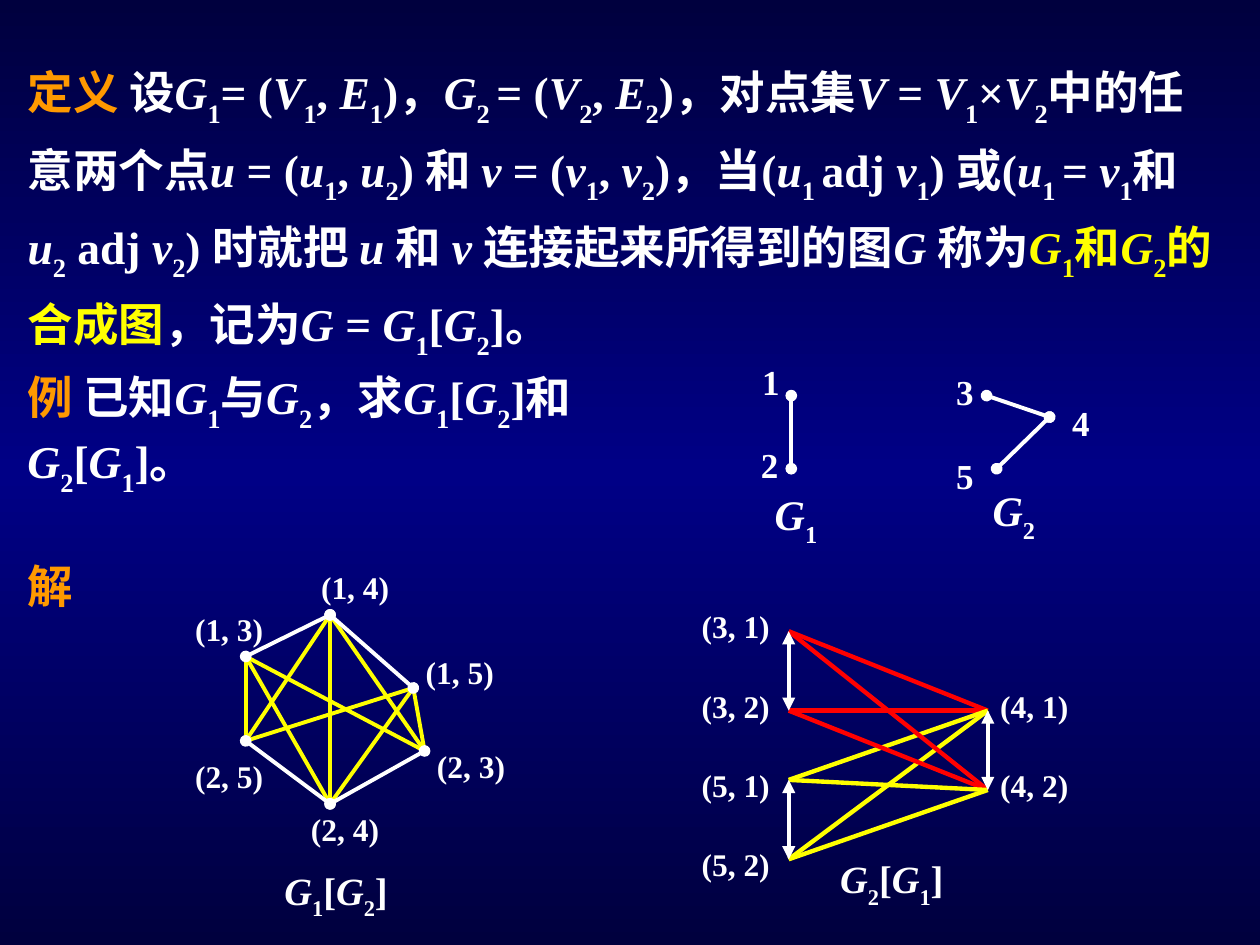
from copy import deepcopy
from itertools import groupby, product

from lxml import etree
from pptx import Presentation
from pptx import util as u
from pptx.dml.color import RGBColor
from pptx.enum import shapes, text
from pptx.oxml.ns import qn

SERIF, HAN = "Times New Roman", "Noto Sans CJK SC"
WHITE, ORANGE, YELLOW, RED = "FFFFFF", "FF9900", "FFFF00", "FF0000"

DEFINITION = [
    ("定义 ", ORANGE),
    ("设*G*~1~= (*V*~1~, *E*~1~)，*G*~2 ~= (*V*~2~, *E*~2~)，对点集*V *= *V*~1~×*V*~2~"
     "中的任意两个点*u *= (*u*~1~, *u*~2~) 和 *v *= (*v*~1~, *v*~2~)，当(*u*~1 ~adj *v*~1~)"
     " 或(*u*~1 ~= *v*~1~和 *u*~2~ adj* v*~2~) 时就把 *u *和 *v *连接起来所得到的图*G *称为", WHITE),
    ("*G*~1~和*G*~2~的合成图", YELLOW),
    ("，记为*G *= *G*~1~[*G*~2~]。", WHITE),
]
EXAMPLE = [
    ("例 ", ORANGE),
    ("已知*G*~1~与*G*~2~，求*G*~1~[*G*~2~]和  *G*~2~[*G*~1~]。", WHITE),
]
DIGITS = {"1": (5.95, 2.81), "2": (5.94, 3.47), "3": (7.49, 2.89),
          "4": (8.41, 3.14), "5": (7.49, 3.56)}
FACTOR_EDGES = [((6.28, 3.14), (6.28, 3.72)), ((7.83, 3.14), (8.33, 3.31)),
                ((8.33, 3.31), (7.91, 3.72))]
HEXAGON = {
    "(1, 3)": ((1.95, 5.21), (1.45, 4.79)),
    "(1, 4)": ((2.62, 4.88), (2.45, 4.46)),
    "(1, 5)": ((3.28, 5.46), (3.28, 5.13)),
    "(2, 3)": ((3.37, 5.96), (3.37, 5.88)),
    "(2, 4)": ((2.62, 6.38), (2.37, 6.38)),
    "(2, 5)": ((1.95, 5.88), (1.45, 5.96)),
}
LADDER = {
    "(3, 1)": ((6.26, 5.01), (5.47, 4.77)),
    "(3, 2)": ((6.26, 5.64), (5.47, 5.4)),
    "(5, 1)": ((6.26, 6.19), (5.47, 6.03)),
    "(5, 2)": ((6.26, 6.82), (5.47, 6.66)),
    "(4, 1)": ((7.84, 5.64), (7.84, 5.4)),
    "(4, 2)": ((7.84, 6.27), (7.84, 6.03)),
}


def color(value):
    """Turn a hex string into a colour."""
    return RGBColor.from_string(value)


def paint_background(page):
    """Fill the page with a dark, blue, dark vertical gradient."""
    fill = page.background.fill
    fill.gradient()
    fill.gradient_angle = 270
    stops = page.background.fill.gradient_stops
    stop_list = next(page.element.iter(qn("a:gsLst")))
    stop_list.append(deepcopy(stop_list[0]))
    for stop, (position, shade) in zip(
            stops, [(0, "00003E"), (0.5, "000086"), (1, "00003E")]):
        stop.position = position
        stop.color.rgb = color(shade)


def split_markup(markup):
    """Yield text, italic and subscript, where * and ~ toggle the last two."""
    italic = lowered = False
    for mark, letters in groupby(markup, lambda c: c if c in "*~" else ""):
        if mark == "*":
            italic = not italic
        elif mark == "~":
            lowered = not lowered
        else:
            yield "".join(letters), italic, lowered


def add_span(para, wording, size, shade, italic, lowered):
    """Add one run, with the Han face where it holds Han text."""
    span = para.add_run()
    span.text = wording
    font = span.font
    font.size, font.bold, font.italic = u.Pt(size), True, italic
    font.color.rgb = color(shade)
    han = [c >= "⺀" for c in wording if c != " "]
    font.name = HAN if all(han) else SERIF
    properties = span._r.get_or_add_rPr()
    if lowered:
        properties.set("baseline", "-30000")
    etree.SubElement(properties, qn("a:ea")).set("typeface", HAN if any(han) else SERIF)


def add_text(page, segments, place, size, spacing=None):
    """Add a text box of coloured markup segments."""
    box = page.shapes.add_textbox(*map(u.Inches, place))
    frame = box.text_frame
    frame.word_wrap = True
    frame.auto_size = text.MSO_AUTO_SIZE.SHAPE_TO_FIT_TEXT
    para = frame.paragraphs[0]
    para.line_spacing = spacing
    for markup, shade in segments:
        for piece in split_markup(markup):
            add_span(para, piece[0], size, shade, *piece[1:])


def add_label(page, markup, place, size):
    """Add a white label."""
    add_text(page, [(markup, WHITE)], place, size)


def add_edge(page, start, end, shade=WHITE, width=2.25, ends=None):
    """Add a graph edge with the same marker at both ends."""
    edge = page.shapes.add_connector(
        shapes.MSO_CONNECTOR.STRAIGHT, *map(u.Inches, (*start, *end)))
    edge.line.color.rgb = color(shade)
    edge.line.width = u.Pt(width)
    if ends:
        outline = edge.line._get_or_add_ln()
        for tag in ("a:headEnd", "a:tailEnd"):
            etree.SubElement(outline, qn(tag)).set("type", ends)
    etree.SubElement(edge._element.spPr, qn("a:effectLst"))


def add_factors(page):
    """Draw the two given graphs."""
    for start, end in FACTOR_EDGES:
        add_edge(page, start, end, ends="oval")
    for digit, spot in DIGITS.items():
        add_label(page, digit, (*spot, 0.68, 0.44), 20)
    add_label(page, "*G*~1~", (6.05, 3.83, 0.68, 0.56), 24)
    add_label(page, "*G*~2~", (7.78, 3.8, 0.68, 0.56), 24)


def add_hexagon(page):
    """Draw the composition of the first graph with the second."""
    nodes = [node for node, _ in HEXAGON.values()]
    for start, end in product(nodes[:3], nodes[3:]):
        add_edge(page, start, end, YELLOW)
    for half in (nodes[:3], nodes[3:]):
        for start, end in zip(half, half[1:]):
            add_edge(page, start, end, ends="oval")
    for name, (_, spot) in HEXAGON.items():
        add_label(page, name, (*spot, 0.77, 0.4), 18)
    add_label(page, "*G*~1~[*G*~2~]", (2.16, 6.83, 1.1, 0.53), 22)


def add_ladder(page):
    """Draw the composition of the second graph with the first."""
    nodes = [node for node, _ in LADDER.values()]
    shades = [RED, RED, YELLOW, YELLOW]
    for end, (start, shade) in product(nodes[4:], zip(nodes[:4], shades)):
        add_edge(page, start, end, shade, 2.5)
    for start, end in zip(nodes[::2], nodes[1::2]):
        add_edge(page, start, end, width=2.5, ends="triangle")
    for name, (_, spot) in LADDER.items():
        add_label(page, name, (*spot, 0.87, 0.4), 18)
    add_label(page, "*G*~2~[*G*~1~]", (6.57, 6.74, 1.42, 0.53), 22)


def main():
    """Build the slide and save the deck."""
    deck = Presentation()
    deck.slide_width, deck.slide_height = u.Inches(10), u.Inches(7.5)
    page = deck.slides.add_slide(deck.slide_layouts[6])
    paint_background(page)
    add_text(page, DEFINITION, (0.12, 0.36, 9.69, 2.55), 26, spacing=1.2)
    add_text(page, EXAMPLE, (0.12, 2.88, 4.8, 1.12), 26)
    add_factors(page)
    add_text(page, [("解", ORANGE)], (0.12, 4.38, 1.5, 0.54), 26)
    add_ladder(page)
    add_hexagon(page)
    deck.save("out.pptx")


if __name__ == "__main__":
    main()
